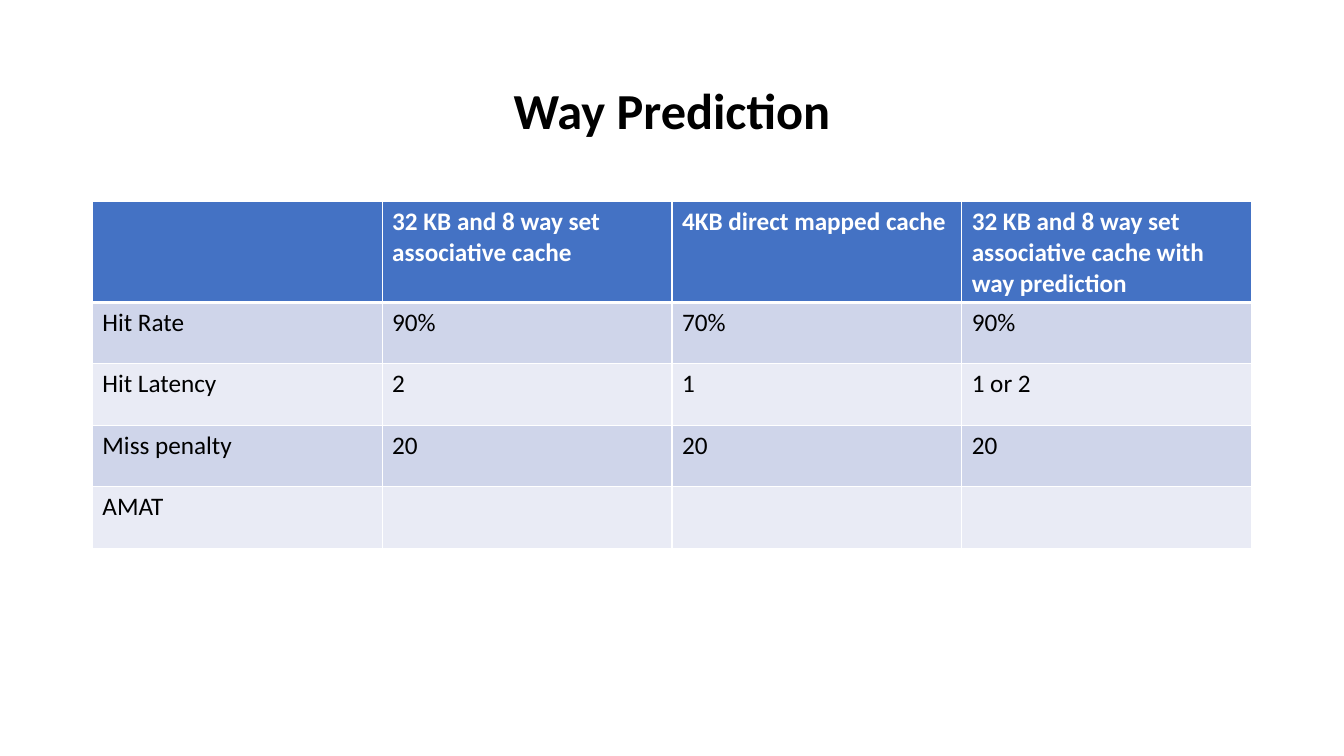
from pptx import Presentation
from pptx.dml.color import RGBColor
from pptx.enum.text import MSO_ANCHOR as Anchor, PP_ALIGN as Align
from pptx.oxml.ns import qn
from pptx.util import Pt
from lxml.etree import SubElement

ROWS = [
    ["", "32 KB and 8 way set associative cache", "4KB direct mapped cache",
     "32 KB and 8 way set associative cache with way prediction"],
    ["Hit Rate", "90%", "70%", "90%"],
    ["Hit Latency", "2", "1", "1 or 2"],
    ["Miss penalty", "20", "20", "20"],
    ["AMAT", "", "", ""],
]
HEADER_HEIGHT, ROW_HEIGHT = 72, 43.9
HEADER_FILL, BANDS = "4472C4", ("CFD5EA", "E9EBF5")


def color(value):
    return RGBColor.from_string(value)


class SlideBuilder:
    font_name = "Calibri"
    dark, light = "000000", "FFFFFF"

    def __init__(self, page):
        self.page = page

    def set_text(self, para, text, size, ink, bold):
        para.text = text
        para.font.name = self.font_name
        para.font.size = Pt(size)
        para.font.bold = bold
        para.font.color.rgb = color(ink)

    def title(self, text, left, top, width, height):
        box = self.page.shapes.add_textbox(Pt(left), Pt(top), Pt(width), Pt(height))
        frame = box.text_frame
        frame.word_wrap = True
        frame.vertical_anchor = Anchor.MIDDLE
        para = frame.paragraphs[0]
        para.alignment = Align.CENTER
        para.line_spacing = 0.9
        self.set_text(para, text, 36, self.dark, True)

    def border(self, cell, side, width):
        line = SubElement(cell._tc.get_or_add_tcPr(), qn(f"a:{side}"), w=str(Pt(width)))
        fill = SubElement(line, qn("a:solidFill"))
        SubElement(fill, qn("a:srgbClr"), val=self.light)

    def table(self, rows, left, top, width):
        """Draw a table with a bold header row and banded body rows."""
        heights = [HEADER_HEIGHT] + [ROW_HEIGHT] * (len(rows) - 1)
        columns = len(rows[0])
        grid = self.page.shapes.add_table(
            len(rows), columns, Pt(left), Pt(top), Pt(width), Pt(sum(heights))).table
        for column in grid.columns:
            column.width = Pt(width / columns)
        for r, (texts, height) in enumerate(zip(rows, heights)):
            grid.rows[r].height = Pt(height)
            header = r == 0
            for c, text in enumerate(texts):
                cell = grid.cell(r, c)
                for side in ("lnL", "lnR", "lnT", "lnB"):
                    thick = (header and side == "lnB") or (r == 1 and side == "lnT")
                    self.border(cell, side, 3 if thick else 1)
                cell.fill.solid()
                cell.fill.fore_color.rgb = color(HEADER_FILL if header else BANDS[(r - 1) % 2])
                self.set_text(cell.text_frame.paragraphs[0], text, 18,
                              self.light if header else self.dark, header)


def main():
    deck = Presentation()
    deck.slide_width, deck.slide_height = Pt(960), Pt(540)
    slide = SlideBuilder(deck.slides.add_slide(deck.slide_layouts[6]))
    slide.title("Way Prediction", 66, 28.75, 828, 104.4)
    slide.table(ROWS, 66, 144, 828)
    deck.save("out.pptx")


if __name__ == "__main__":
    main()
